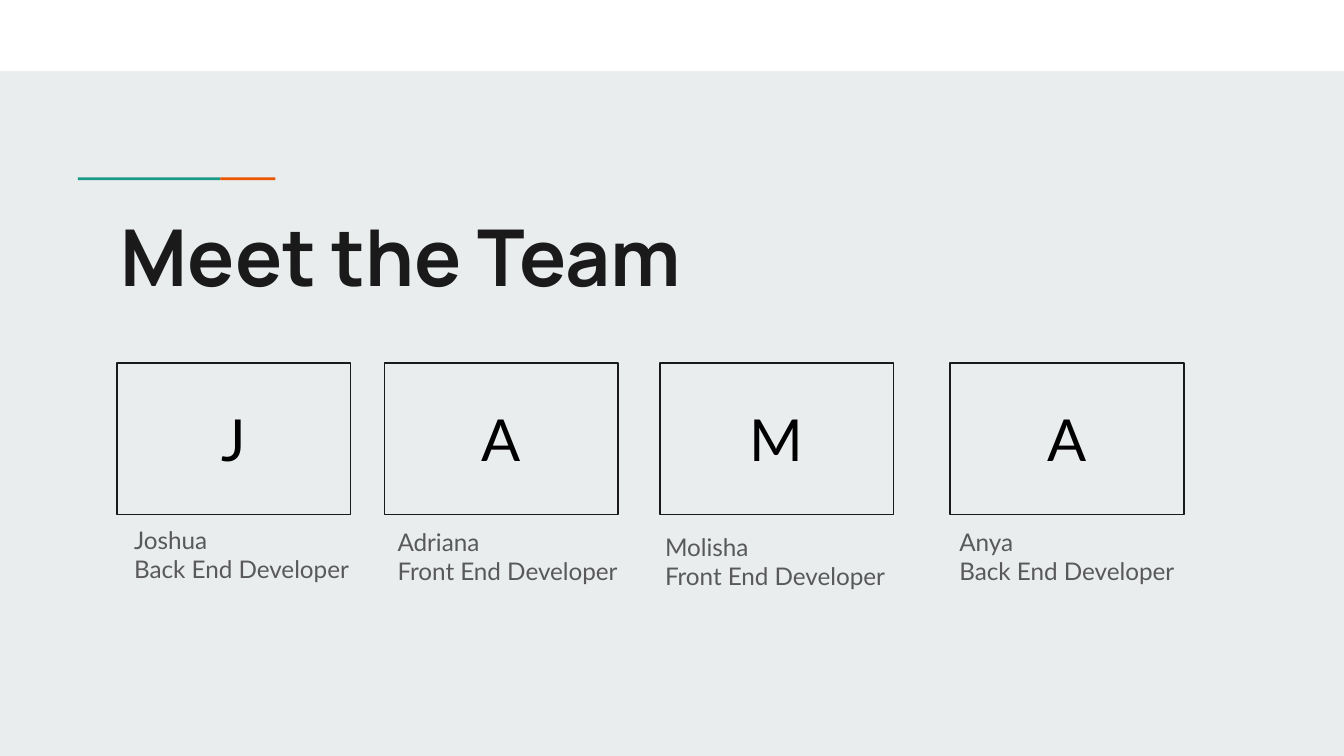
from dataclasses import dataclass

from pptx import Presentation
from pptx.dml.color import RGBColor
from pptx.enum.shapes import MSO_SHAPE
from pptx.enum.text import MSO_ANCHOR, MSO_AUTO_SIZE, PP_ALIGN
from pptx.util import Inches, Pt


@dataclass(frozen=True)
class Theme:
    background: str = "E9EDEE"
    band: str = "FFFFFF"
    teal: str = "1A9988"
    orange: str = "EB5600"
    ink: str = "1A1A1A"
    initial: str = "000000"
    caption: str = "595959"
    heading_font: str = "Manrope"
    body_font: str = "Lato"
    title_size: int = 42
    initial_size: int = 31
    caption_size: int = 13


theme = Theme()


def add_block(left, top, width, height, color):
    block = slide.shapes.add_shape(
        MSO_SHAPE.RECTANGLE, Inches(left), Inches(top), Inches(width), Inches(height)
    )
    block.shadow.inherit = False
    block.fill.solid()
    block.fill.fore_color.rgb = RGBColor.from_string(color)
    block.line.fill.background()
    return block


def format_text(frame, font, size, color, align, anchor, bold=False):
    frame.word_wrap = True
    frame.auto_size = MSO_AUTO_SIZE.NONE
    frame.vertical_anchor = anchor
    frame.margin_left = frame.margin_right = Inches(0.1)
    frame.margin_top = frame.margin_bottom = Inches(0.1)
    for paragraph in frame.paragraphs:
        paragraph.alignment = align
        for run in paragraph.runs:
            run.font.name = font
            run.font.size = Pt(size)
            run.font.bold = bold
            run.font.color.rgb = RGBColor.from_string(color)


prs = Presentation()
prs.slide_width = Inches(10)
prs.slide_height = prs.slide_width * 9 // 16
slide = prs.slides.add_slide(prs.slide_layouts[5])
slide.background.fill.solid()
slide.background.fill.fore_color.rgb = RGBColor.from_string(theme.background)

add_block(0, 0, 10, 0.53, theme.band)
add_block(0.58, 1.32, 1.06, 0.02, theme.teal)
add_block(1.64, 1.32, 0.41, 0.02, theme.orange)

title = slide.shapes.title
title.left, title.top = Inches(0.8), Inches(1.45)
title.width, title.height = Inches(8.41), Inches(1.82)
title.text_frame.text = "Meet the Team"
format_text(title.text_frame, theme.heading_font, theme.title_size, theme.ink,
            PP_ALIGN.LEFT, MSO_ANCHOR.TOP, bold=True)

team = [
    ("Joshua", "Back End Developer", 0.87, 0.9, 3.81, 1.96, 0.53),
    ("Adriana", "Front End Developer", 2.86, 2.86, 3.82, 1.96, 0.73),
    ("Molisha", "Front End Developer", 4.91, 4.85, 3.86, 1.96, 0.47),
    ("Anya", "Back End Developer", 7.07, 7.04, 3.82, 2.08, 0.73),
]
for name, role, card_left, left, top, width, height in team:
    card = add_block(card_left, 2.7, 1.74, 1.13, theme.background)
    card.line.color.rgb = RGBColor.from_string(theme.ink)
    card.line.width = Pt(0.75)
    card.text_frame.text = name[0]
    format_text(card.text_frame, theme.body_font, theme.initial_size, theme.initial,
                PP_ALIGN.CENTER, MSO_ANCHOR.MIDDLE)

    caption = slide.shapes.add_textbox(
        Inches(left), Inches(top), Inches(width), Inches(height)
    )
    caption.text_frame.text = f"{name}\n{role}"
    format_text(caption.text_frame, theme.body_font, theme.caption_size, theme.caption,
                PP_ALIGN.LEFT, MSO_ANCHOR.TOP)

prs.save("out.pptx")
